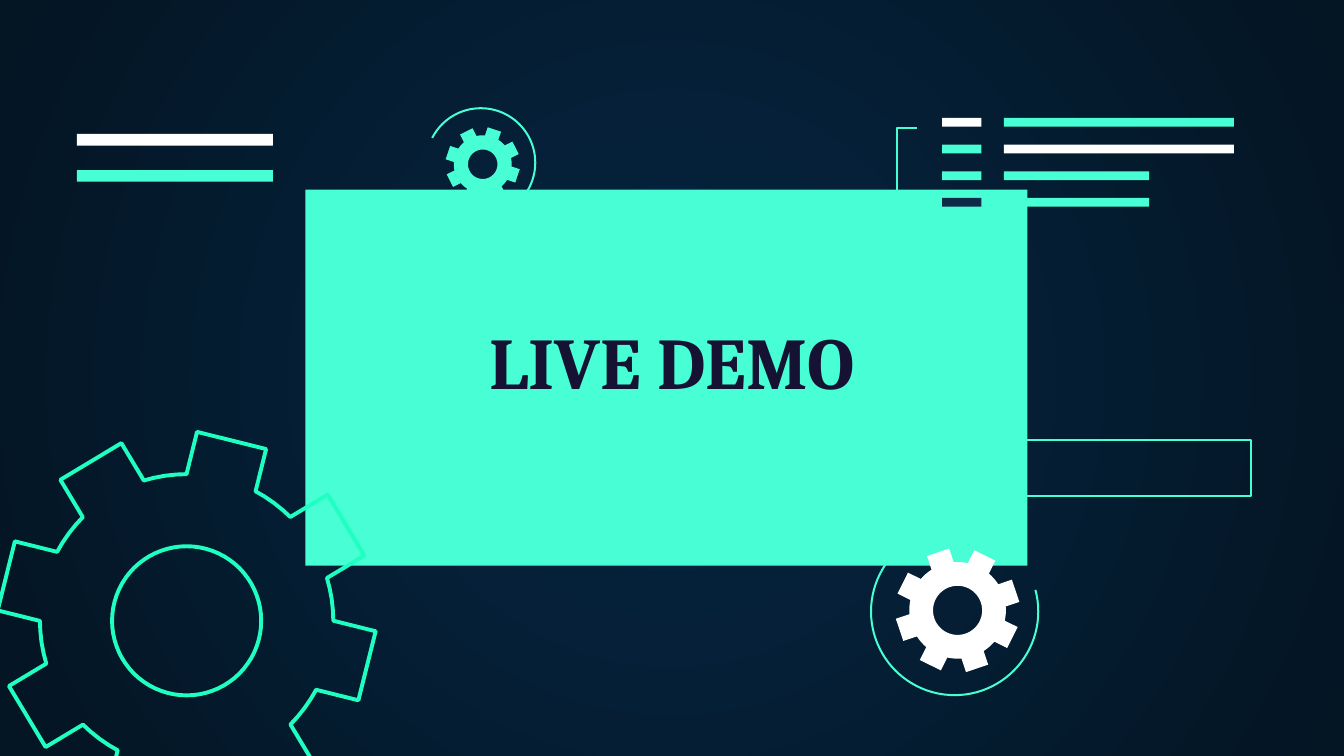
from math import cos, sin, radians
from lxml import etree
from pptx import Presentation
from pptx.dml.color import RGBColor
from pptx.enum import shapes, text
from pptx.oxml import parse_xml
from pptx.oxml.ns import nsdecls, qn
from pptx.util import Pt

MINT = RGBColor(0x48, 0xFF, 0xD5)
BRIGHT = RGBColor(0x1E, 0xFF, 0xC1)
WHITE = RGBColor(0xFF, 0xFF, 0xFF)
NAVY = RGBColor(0x0E, 0x2A, 0x47)
INK = RGBColor(0x16, 0x12, 0x34)
BG_CENTRE = RGBColor(0x05, 0x26, 0x43)
BG_EDGE = RGBColor(0x04, 0x15, 0x23)
THIN = 1.09

prs = Presentation()
prs.slide_width, prs.slide_height = Pt(720), Pt(405)
s = prs.slides.add_slide(prs.slide_layouts[5])

# Radial background
fill = s.background.fill
fill.gradient()
for stop, color in zip(fill.gradient_stops, (BG_CENTRE, BG_EDGE)):
    stop.color.rgb = color
lin = s.background._cSld.find(".//" + qn("a:lin"))
lin.getparent().replace(lin, parse_xml(
    '<a:path %s path="circle"><a:fillToRect l="50000" t="50000" r="50000" b="50000"/></a:path>'
    % nsdecls("a")))


def paint(sp, color=None, line=None, width=THIN):
    """Set the fill and outline of a shape; None leaves that part empty."""
    sp.shadow.inherit = False
    for part, value in ((sp.fill, color), (sp.line.fill, line)):
        if value is None:
            part.background()
        else:
            part.solid()
            part.fore_color.rgb = value
    if line is not None:
        sp.line.width = Pt(width)


def add_gear(cx, cy, radius, turn):
    """Add an eight-tooth gear with a round hole; turn is in degrees from the top."""
    body, half = 0.775 * radius, 0.188 * radius
    reach = (radius ** 2 - half ** 2) ** 0.5
    base = (body ** 2 - half ** 2) ** 0.5
    rim = []
    for tooth in range(8):
        a = radians(turn + 45 * tooth)
        corners = [(-half, base), (-half, reach), (half, reach), (half, base)]
        # The rim between this tooth and the next one
        corners += [(body * sin(radians(d)), body * cos(radians(d))) for d in (18, 22.5, 27)]
        rim += [(Pt(cx + x * cos(a) + y * sin(a)), Pt(cy + x * sin(a) - y * cos(a)))
                for x, y in corners]
    hole = [(Pt(cx + 0.394 * radius * cos(radians(d))), Pt(cy - 0.394 * radius * sin(radians(d))))
            for d in range(0, 360, 5)]
    fb = s.shapes.build_freeform(*rim[0], scale=1.0)
    fb.add_line_segments(rim[1:], close=True)
    fb.move_to(*hole[0])
    fb.add_line_segments(hole[1:], close=True)
    return fb.convert_to_shape()


# Bars, panel and box: left, top, width, height, fill, line
boxes = [(163.6, 101.6, 386.8, 201.4, MINT, None),
         (518.4, 235.8, 151.9, 30, None, MINT),
         (41.2, 71.8, 105, 6.3, WHITE, None),
         (41.2, 91.1, 105, 6.3, MINT, None)]
code_rows = [(WHITE, MINT, 123.3), (MINT, WHITE, 123.3), (MINT, MINT, 77.8), (NAVY, MINT, 77.8)]
for i, (tag, bar, width) in enumerate(code_rows):
    top = 63.2 + 14.3 * i
    boxes += [(504.7, top, 21, 4.7, tag, None), (537.8, top, width, 4.7, bar, None)]
for left, top, width, height, color, line in boxes:
    sp = s.shapes.add_shape(shapes.MSO_SHAPE.RECTANGLE, Pt(left), Pt(top), Pt(width), Pt(height))
    paint(sp, color, line)

# Bracket beside the code rows
fb = s.shapes.build_freeform(Pt(491.6), Pt(112), scale=1.0)
fb.add_line_segments([(Pt(480.5), Pt(112)), (Pt(480.5), Pt(68.5)), (Pt(491.2), Pt(68.5))], close=False)
paint(fb.convert_to_shape(), None, MINT)

# Open rings: centre, radius, start and end angle clockwise from the right
for cx, cy, radius, start, end in ((257.6, 87.2, 29.2, 207, 100), (511.4, 327.6, 44.8, 345, 233)):
    sp = s.shapes.add_shape(shapes.MSO_SHAPE.ARC, Pt(cx - radius), Pt(cy - radius),
                            Pt(2 * radius), Pt(2 * radius))
    # Angles are stored in 60000ths of a degree, adjustments in 100000ths
    sp.adjustments[0], sp.adjustments[1] = start * 0.6, end * 0.6
    paint(sp, None, MINT)

paint(add_gear(100, 332.6, 101.4, 14), None, BRIGHT, 2.1)
paint(add_gear(513, 327, 33.4, 26.4), WHITE)
paint(add_gear(258.6, 88, 20, 18.5), MINT)

# Title, in front of the panel
title = s.shapes.title
title._element.getparent().append(title._element)
title.left, title.top, title.width, title.height = Pt(223.9), Pt(162.7), Pt(272.2), Pt(111.6)
tf = title.text_frame
tf.text = "LIVE DEMO"
tf.word_wrap = True
tf.auto_size = text.MSO_AUTO_SIZE.NONE
tf.vertical_anchor = text.MSO_ANCHOR.TOP
tf.margin_left = tf.margin_right = tf.margin_top = tf.margin_bottom = Pt(7.2)
p = tf.paragraphs[0]
p.alignment = text.PP_ALIGN.CENTER
r = p.runs[0]
r.font.size, r.font.bold, r.font.name = Pt(39), True, "Cambria"
r.font.color.rgb = INK
effects = etree.fromstring(
    '<a:effectLst %s><a:outerShdw blurRad="38100" dist="38100" dir="2700000">'
    '<a:srgbClr val="000000"><a:alpha val="43000"/></a:srgbClr></a:outerShdw></a:effectLst>'
    % nsdecls("a"))
r.font._element.find(qn("a:solidFill")).addnext(effects)

prs.save("out.pptx")
